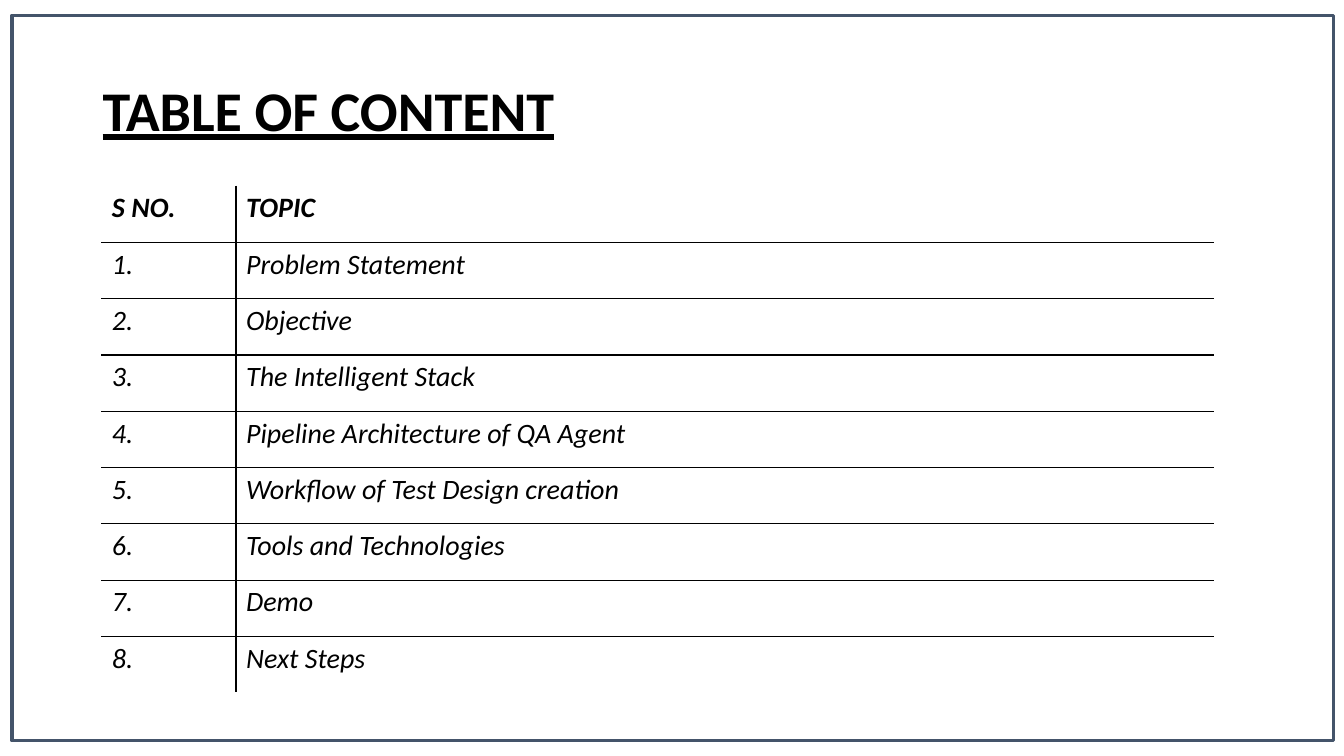
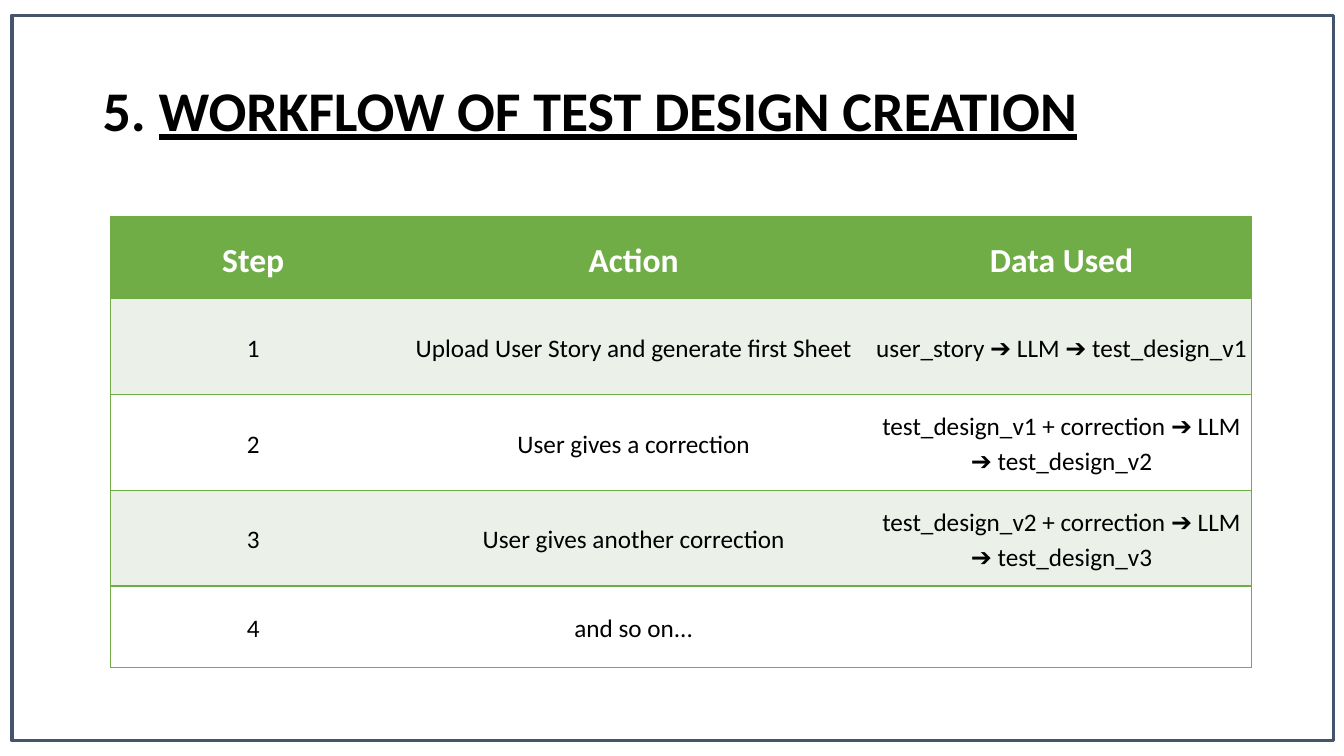
from pptx import Presentation
from pptx.dml.color import RGBColor
from pptx.enum import shapes, text
from pptx.oxml import ns, xmlchemy
from pptx.util import Pt

FONT = "Calibri"
BLACK = RGBColor(0x00, 0x00, 0x00)
WHITE = RGBColor(0xFF, 0xFF, 0xFF)
SLATE = RGBColor(0x44, 0x54, 0x6A)
GREEN = RGBColor(0x70, 0xAD, 0x47)
PALE_GREEN = RGBColor(0xEB, 0xF1, 0xE9)

# Boxes: left, top, width, height in points
SLIDE_SIZE = (960, 540)
FRAME_BOX = (8.6, 10.8, 944, 518.4)
TITLE_BOX = (66.2, 28.8, 828, 104.4)
CONTENTS_BOX = (72.8, 133, 794, 361.8)
WORKFLOW_BOX = (79, 154.8, 815, 322.2)

TOPICS = [
    "Problem Statement",
    "Objective",
    "The Intelligent Stack",
    "Pipeline Architecture of QA Agent",
    "Workflow of Test Design creation",
    "Tools and Technologies",
    "Demo",
    "Next Steps",
]
WORKFLOW = [
    ("Step", "Action", "Data Used"),
    ("1", "Upload User Story and generate first Sheet",
     "user_story ➔ LLM ➔ test_design_v1"),
    ("2", "User gives a correction",
     "test_design_v1 + correction ➔ LLM ➔ test_design_v2"),
    ("3", "User gives another correction",
     "test_design_v2 + correction ➔ LLM ➔ test_design_v3"),
    ("4", "and so on...", ""),
]


def add_run(paragraph, words, size, color=BLACK, bold=False, italic=False,
            underline=False):
    run = paragraph.add_run()
    run.text = words
    font = run.font
    font.name, font.size = FONT, Pt(size)
    font.bold, font.italic, font.underline = bold, italic, underline
    font.color.rgb = color


def set_borders(cell, left, right, top, bottom):
    """Draw 1 pt cell edges; None leaves an edge empty. Call before filling."""
    properties = cell._tc.get_or_add_tcPr()
    edges = {"a:lnL": left, "a:lnR": right, "a:lnT": top, "a:lnB": bottom}
    for tag, color in edges.items():
        line = xmlchemy.OxmlElement(tag)
        line.set("w", str(Pt(1)))
        properties.append(line)
        if color is None:
            line.append(xmlchemy.OxmlElement("a:noFill"))
            continue
        solid = xmlchemy.OxmlElement("a:solidFill")
        rgb = xmlchemy.OxmlElement("a:srgbClr")
        rgb.set("val", str(color))
        solid.append(rgb)
        line.append(solid)


def add_grid(slide, box, column_shares, row_shares):
    """Add a plain table whose columns and rows share out the box."""
    left, top, width, height = box
    table = slide.shapes.add_table(
        len(row_shares), len(column_shares), *map(Pt, box)).table
    table.horz_banding = False
    for column, share in zip(table.columns, column_shares):
        column.width = Pt(width * share / sum(column_shares))
    for row, share in zip(table.rows, row_shares):
        row.height = Pt(height * share / sum(row_shares))
    return table


def add_framed_slide(deck, title_runs):
    """Start a slide with the shared frame and title."""
    slide = deck.slides.add_slide(deck.slide_layouts[6])

    # Frame
    frame = slide.shapes.add_shape(
        shapes.MSO_SHAPE.RECTANGLE, *map(Pt, FRAME_BOX))
    frame.shadow.inherit = False
    frame.fill.background()
    frame.line.color.rgb = SLATE
    frame.line.width = Pt(2.25)

    # Title
    title = slide.shapes.add_textbox(*map(Pt, TITLE_BOX)).text_frame
    title.word_wrap = True
    title.vertical_anchor = text.MSO_ANCHOR.MIDDLE
    heading = title.paragraphs[0]
    heading.line_spacing = 0.9
    for words, underline in title_runs:
        add_run(heading, words, 40, bold=True, underline=underline)
    return slide


def add_contents(slide, box):
    """Numbered topics, ruled inside and open at the outer edges."""
    rows = [("S NO.", "TOPIC")]
    rows += [(f"{number}.", topic) for number, topic in enumerate(TOPICS, 1)]
    table = add_grid(slide, box, (1.33, 9.69), [1] * len(rows))
    last = len(rows) - 1
    for r, row in enumerate(rows):
        for c, words in enumerate(row):
            cell = table.cell(r, c)
            set_borders(cell,
                        left=BLACK if c else WHITE,
                        right=WHITE if c else BLACK,
                        top=BLACK if r else WHITE,
                        bottom=BLACK if r < last else WHITE)
            cell.fill.background()
            add_run(cell.text_frame.paragraphs[0], words, 20,
                    bold=r == 0, italic=True)


def add_workflow(slide, box):
    """Green header over striped steps, with no rules between columns."""
    table = add_grid(slide, box, (2.83, 4.72, 3.77),
                     (0.81, 0.95, 0.95, 0.95, 0.81))
    last = len(WORKFLOW[0]) - 1
    for r, row in enumerate(WORKFLOW):
        header = r == 0
        stripe = GREEN if header else PALE_GREEN if r % 2 else WHITE
        for c, words in enumerate(row):
            cell = table.cell(r, c)
            set_borders(cell,
                        left=GREEN if c == 0 else None,
                        right=GREEN if c == last else None,
                        top=GREEN, bottom=GREEN)
            cell.fill.solid()
            cell.fill.fore_color.rgb = stripe
            cell.vertical_anchor = text.MSO_ANCHOR.MIDDLE
            cell.margin_left = cell.margin_right = Pt(0.7)
            cell.margin_top = cell.margin_bottom = Pt(0.7)
            if not words:
                continue
            paragraph = cell.text_frame.paragraphs[0]
            paragraph.alignment = text.PP_ALIGN.CENTER
            paragraph.line_spacing = 1.15
            paragraph.space_after = Pt(8)
            add_run(paragraph, words, 24 if header else 18,
                    color=WHITE if header else BLACK, bold=header)


def main():
    deck = Presentation()
    deck.slide_width, deck.slide_height = map(Pt, SLIDE_SIZE)

    contents = add_framed_slide(deck, [("TABLE OF CONTENT", True)])
    add_contents(contents, CONTENTS_BOX)

    workflow = add_framed_slide(
        deck, [("5. ", False), ("WORKFLOW OF TEST DESIGN CREATION", True)])
    add_workflow(workflow, WORKFLOW_BOX)

    deck.save("out.pptx")


if __name__ == "__main__":
    main()
